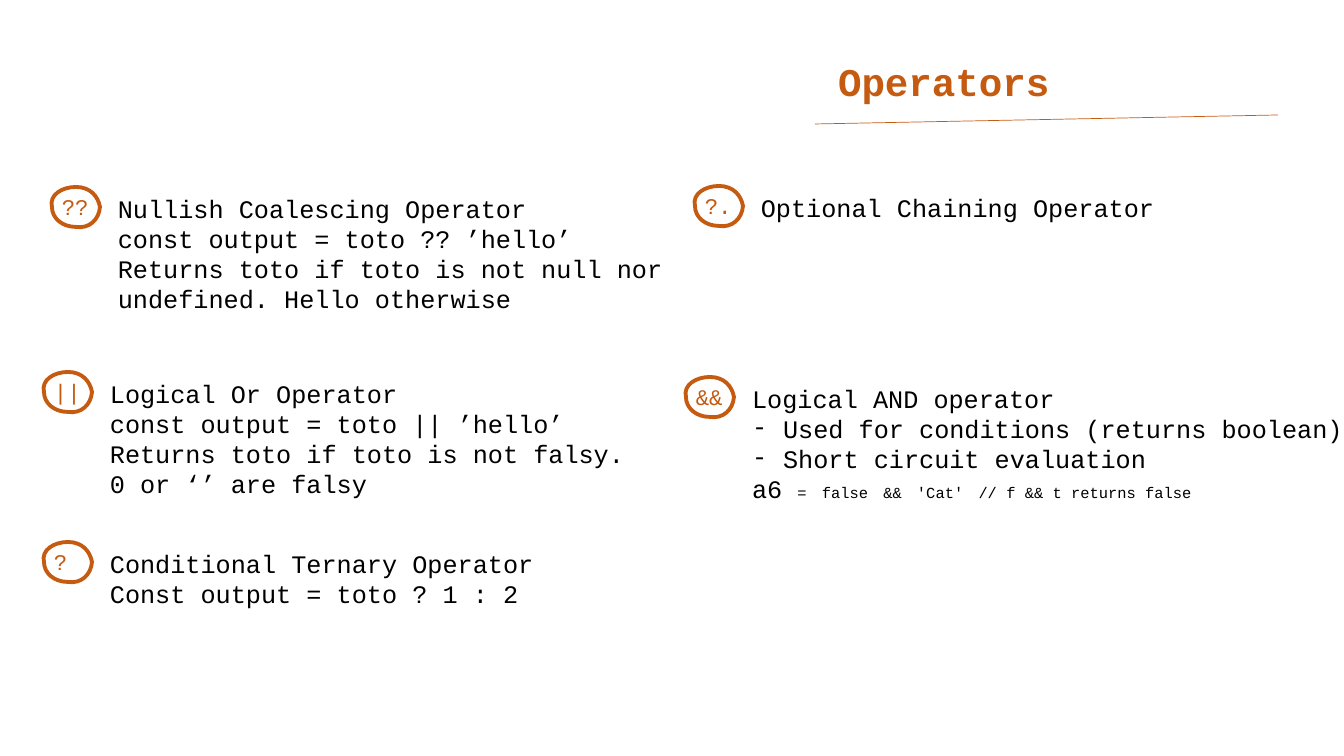
"""Build the slide that sums up five JavaScript operators."""
from lxml import etree
from pptx import Presentation
from pptx.dml.color import RGBColor
from pptx.enum.shapes import MSO_CONNECTOR
from pptx.enum.text import MSO_ANCHOR, MSO_AUTO_SIZE, PP_ALIGN
from pptx.oxml.ns import qn
from pptx.util import Pt

PX = 12192000 / 1344
RUST = RGBColor(0xC5, 0x5A, 0x11)
BLACK = RGBColor(0, 0, 0)
FONT = "Courier New"
LEFT = PP_ALIGN.LEFT
TOP = MSO_ANCHOR.TOP
GROW = MSO_AUTO_SIZE.SHAPE_TO_FIT_TEXT
LINE = MSO_CONNECTOR.STRAIGHT
DENT = 31


def px(*nums):
    """Turn px lengths into EMU."""
    return [round(num * PX) for num in nums]


def write(shape, box, lines, size, color, bold=False):
    """Place a shape and fill it with lines, each a text or a list of (text, size) runs."""
    for name, value in zip(("left", "top", "width", "height"), px(*box)):
        setattr(shape, name, value)
    frame = shape.text_frame
    for name, value in {"word_wrap": True, "auto_size": GROW, "vertical_anchor": TOP}.items():
        setattr(frame, name, value)
    for i, line in enumerate(lines):
        para = frame.paragraphs[0] if i == 0 else frame.add_paragraph()
        para.alignment, para.space_before = LEFT, Pt(0)
        props = para._p.get_or_add_pPr()
        item = isinstance(line, str) and line.startswith("- ")
        dent = px(DENT)[0] if item else 0
        props.set("marL", str(dent))
        props.set("indent", str(-dent))
        if item:
            etree.SubElement(props, qn("a:buFont")).set("typeface", FONT)
            etree.SubElement(props, qn("a:buChar")).set("char", "-")
            line = line[2:]
        else:
            etree.SubElement(props, qn("a:buNone"))
        for text, points in [(line, size)] if isinstance(line, str) else line:
            run = para.add_run()
            run.text = text
            style = {"name": FONT, "size": Pt(points), "bold": bold}
            for name, value in style.items():
                setattr(run.font, name, value)
            run.font.color.rgb = color


deck = Presentation()
deck.slide_width, deck.slide_height = px(1344, 756)
slide = deck.slides.add_slide(deck.slide_layouts[1])
shapes = slide.shapes
title = shapes.title
body = slide.placeholders[1]

write(title, (828, 52, 515, 57), ["Operators"], 28, RUST, True)
pen = shapes.build_freeform(*px(828, 52))
pen.add_line_segments([px(1343, 52), px(1343, 109), px(828, 109)], close=True)
frame = pen.convert_to_shape()._element
title._element.spPr.find(qn("a:xfrm")).addnext(frame.spPr.find(qn("a:custGeom")))
frame.getparent().remove(frame)

rule = shapes.add_connector(LINE, *px(815, 124, 1278, 115))
rule.line.color.rgb = RUST
rule.line.width = Pt(0.5)
etree.SubElement(rule._element.spPr, qn("a:effectLst"))

CURVES = [
    ((-3, 8), (10, 0), (24, 0)),
    ((38, 0), (46, 9), (48, 20)),
    ((47, 33), (37, 42), (24, 40)),
    ((10, 40), (0, 31), (0, 20)),
]

code = [("a6 ", 18), ("=", 11), (" ", 18), ("false", 11), (" ", 18), ("&&", 11),
        (" ", 18), ("'Cat'", 11), (" ", 18), ("// f && t returns false", 11)]

BLOCKS = [
    ("??", 52, 188, 132, [
        "Nullish Coalescing Operator",
        "const output = toto ?? ’hello’",
        "Returns toto if toto is not null nor undefined. Hello otherwise"]),
    ("||", 44, 373, 132, [
        "Logical Or Operator",
        "const output = toto || ’hello’",
        "Returns toto if toto is not falsy.",
        "0 or ‘’ are falsy"]),
    ("?", 44, 543, 72, [
        "Conditional Ternary Operator",
        "Const output = toto ? 1 : 2"]),
    ("?.", 695, 187, 40, ["Optional Chaining Operator"]),
    ("&&", 686, 378, 132, [
        "Logical AND operator",
        "- Used for conditions (returns boolean)",
        "- Short circuit evaluation",
        code]),
]
for sign, x, y, high, lines in BLOCKS:
    note = body if code in lines else shapes.add_textbox(0, 0, 0, 0)
    write(note, (x + 56, y, 689, high), lines, 18, BLACK)

    badge = shapes.add_group_shape().shapes
    ends = [px(x + dx, y - 1 + dy) for *_, (dx, dy) in CURVES]
    pen = badge.build_freeform(*ends[-1])
    pen.add_line_segments(ends, close=True)
    oval = pen.convert_to_shape()
    for side, curve in zip(oval._element.findall(".//" + qn("a:lnTo")), CURVES):
        bend = etree.Element(qn("a:cubicBezTo"))
        for spot in curve:
            dot = etree.SubElement(bend, qn("a:pt"))
            for axis, value in zip("xy", px(*spot)):
                dot.set(axis, str(value))
        side.getparent().replace(side, bend)
    oval.shadow.inherit = False
    oval.fill.background()
    oval.line.color.rgb = RUST
    oval.line.width = Pt(2.75)
    label = badge.add_textbox(*px(x, y, 65, 37))
    write(label, (x, y, 65, 37), [sign], 16, RUST)

deck.save("out.pptx")
